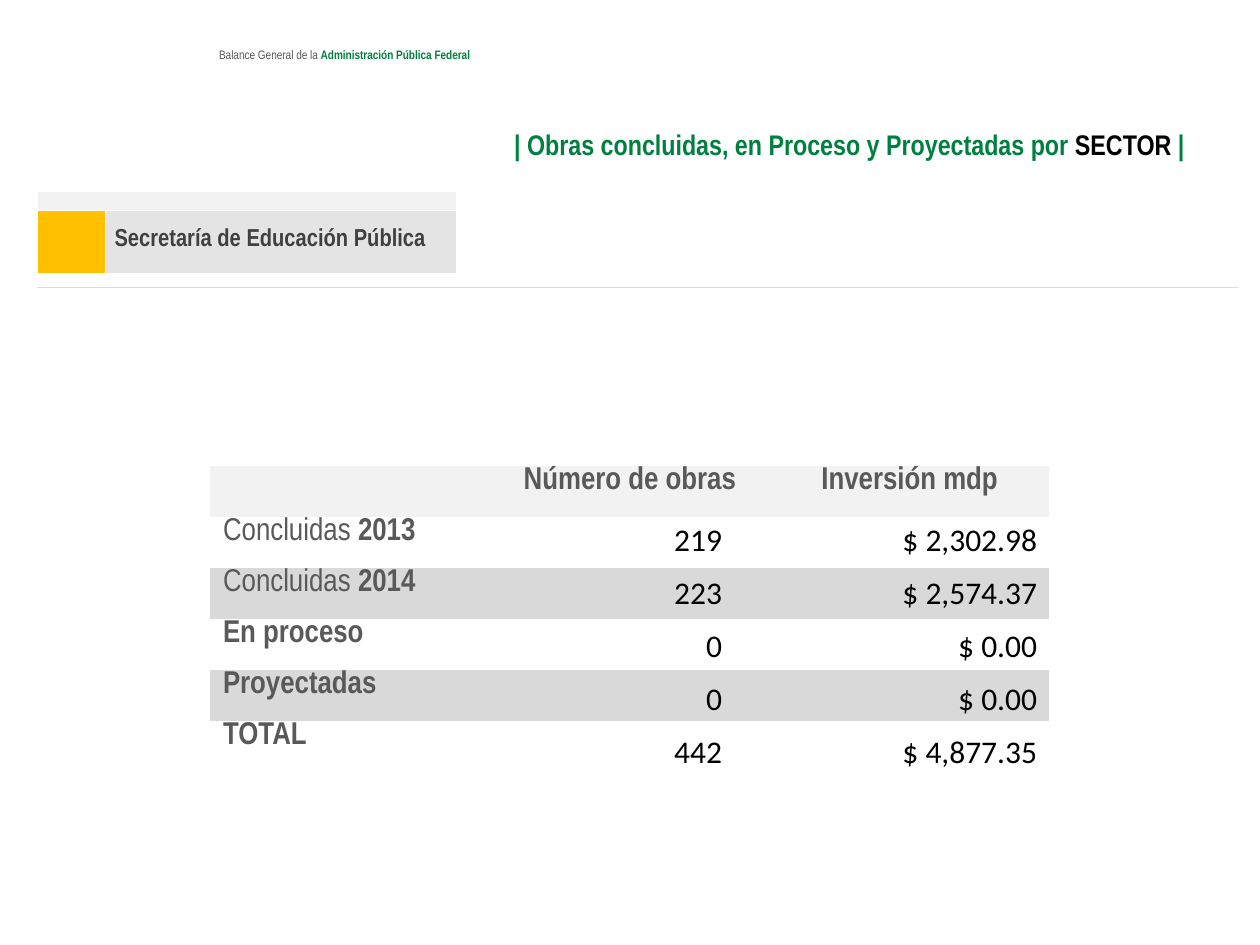
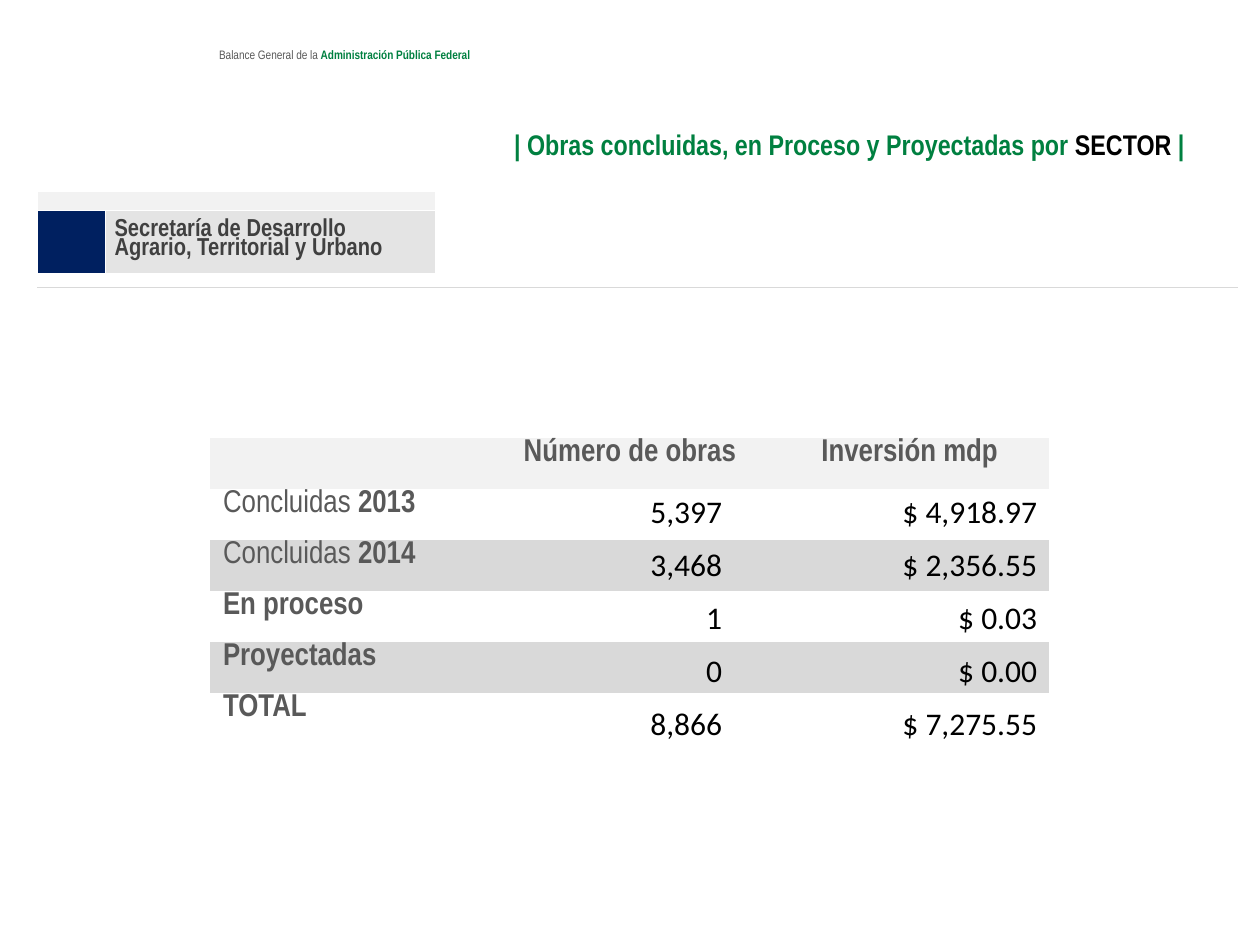
from lxml import etree
from pptx import Presentation
from pptx.dml.color import RGBColor
from pptx.enum import text
from pptx.oxml import ns
from pptx.util import Inches, Pt

NARROW, BODY = "Arial Narrow", "Calibri"
GREEN, BLACK, WHITE = "008040", "000000", "FFFFFF"
GRAY, DARK_GRAY, RULE_GRAY = "595959", "404040", "D9D9D9"
PALE, BAND, NAME_FILL = "F2F2F2", "D9D9D9", "E4E4E4"
NO_STYLE = "{2D5ABB26-0587-4C30-8999-92F81FD0307C}"

HEADINGS = ["", "Número de obras", "Inversión mdp"]
ROW_LABELS = [
    [("Concluidas ", False), ("2013", True)],
    [("Concluidas ", False), ("2014", True)],
    [("En proceso", True)],
    [("Proyectadas", True)],
    [("TOTAL", True)],
]
SECTORS = [
    {
        "name": "Secretaría de Educación Pública",
        "color": "FFC000", "name_width": 2.78, "last_row": 5, "table_top": 3.7,
        "works": ["219", "223", "0", "0", "442"],
        "investment": ["$ 2,302.98", "$ 2,574.37", "$ 0.00", "$ 0.00", "$ 4,877.35"],
    },
    {
        "name": "Secretaría de Desarrollo Agrario, Territorial y Urbano",
        "color": "002060", "name_width": 2.62, "last_row": 3.47, "table_top": 3.48,
        "works": ["5,397", "3,468", "1", "0", "8,866"],
        "investment": ["$ 4,918.97", "$ 2,356.55", "$ 0.03", "$ 0.00", "$ 7,275.55"],
    },
]


def write(paragraph, runs, size, font_name):
    """Fill a paragraph with (text, colour, bold) runs."""
    paragraph.font.size, paragraph.font.name = Pt(size), font_name
    for words, color, bold in runs:
        run = paragraph.add_run()
        run.text = words
        run.font.size, run.font.name, run.font.bold = Pt(size), font_name, bold
        run.font.color.rgb = RGBColor.from_string(color)


def add_plain_table(slide, left, top, widths, heights):
    """Add a table without style, fills or banding."""
    frame = slide.shapes.add_table(
        len(heights), len(widths), Inches(left), Inches(top),
        Inches(sum(widths)), Inches(sum(heights)))
    table = frame.table
    table.first_row = table.horz_banding = False
    frame.element.find(".//" + ns.qn("a:tableStyleId")).text = NO_STYLE
    for column, width in zip(table.columns, widths):
        column.width = Inches(width)
    for row, height in zip(table.rows, heights):
        row.height = Inches(height)
    return table


presentation = Presentation()
presentation.slide_width, presentation.slide_height = Inches(10), Inches(7.5)
layout = presentation.slide_layouts[5]

for number, sector in enumerate(SECTORS):
    slide = presentation.slides.add_slide(layout)

    # Running header, kept on the layout
    if number == 0:
        header = slide.shapes.add_textbox(Inches(1.64), Inches(0.35), Inches(4.49), Inches(0.2))
        header.text_frame.word_wrap = True
        paragraph = header.text_frame.paragraphs[0]
        paragraph.line_spacing = 0.8
        write(paragraph, [("Balance General de la ", GRAY, False),
                          ("Administración Pública Federal", GREEN, True)], 7, NARROW)
        header.element.nvSpPr.cNvPr.set("id", "20")
        layout.shapes.element.append(header.element)

    # Sector banner: colour block, name and rule below
    banner = add_plain_table(slide, 0.3, 1.52, [0.54, sector["name_width"], 8.98 - sector["name_width"]],
                             [0.15, 0.5, 0.11, sector["last_row"]])
    for row_index in (0, 2):
        banner.cell(row_index, 0).merge(banner.cell(row_index, 1))
    banner.cell(3, 0).merge(banner.cell(3, 2))
    for (row_index, column_index), fill in {
            (0, 0): PALE, (1, 0): sector["color"], (1, 1): NAME_FILL}.items():
        cell = banner.cell(row_index, column_index)
        cell.fill.solid()
        cell.fill.fore_color.rgb = RGBColor.from_string(fill)
    for row_index in range(4):
        for column_index in range(3):
            cell = banner.cell(row_index, column_index)
            cell.margin_top = cell.margin_bottom = 0
            if (row_index, column_index) == (1, 1):
                cell.margin_left = cell.margin_right = Inches(0.07)
                cell.vertical_anchor = text.MSO_ANCHOR.MIDDLE
                paragraph = cell.text_frame.paragraphs[0]
                paragraph.line_spacing = Pt(11)
                write(paragraph, [(sector["name"], DARK_GRAY, True)], 14, NARROW)
            else:
                paragraph = cell.text_frame.paragraphs[0]
                paragraph.font.size = Pt(4)
                etree.SubElement(paragraph._p, ns.qn("a:endParaRPr"), sz="400")
            properties = cell._tc.get_or_add_tcPr()
            for position, side in enumerate(["lnL", "lnR", "lnT", "lnB"]):
                on_rule = (row_index, side) in [(2, "lnB"), (3, "lnT")]
                width = 0.25 if on_rule else 0.5 if side in ("lnL", "lnR") else 1
                line = etree.Element(ns.qn("a:" + side), w=str(Pt(width)))
                solid = etree.SubElement(line, ns.qn("a:solidFill"))
                etree.SubElement(solid, ns.qn("a:srgbClr"), val=RULE_GRAY if on_rule else WHITE)
                properties.insert(position, line)

    # Table of works
    works_table = add_plain_table(slide, 1.67, sector["table_top"], [2.22] * 3, [0.405] * 6)
    for row_index, row in enumerate(works_table.rows):
        for column_index, cell in enumerate(row.cells):
            cell.margin_top = 0
            if row_index % 2 == 0:
                cell.fill.solid()
                cell.fill.fore_color.rgb = RGBColor.from_string(BAND if row_index else PALE)
            paragraph = cell.text_frame.paragraphs[0]
            if row_index == 0 and column_index:
                paragraph.alignment = text.PP_ALIGN.CENTER
                write(paragraph, [(HEADINGS[column_index], GRAY, True)], 18, NARROW)
            elif row_index and column_index == 0:
                write(paragraph, [(words, GRAY, bold) for words, bold in ROW_LABELS[row_index - 1]],
                      18, NARROW)

    # Title
    title = slide.shapes.title
    title.left, title.top, title.width, title.height = map(Inches, (0.5, 0.91, 9, 0.43))
    title.text_frame.auto_size = text.MSO_AUTO_SIZE.NONE
    title.text_frame.vertical_anchor = text.MSO_ANCHOR.MIDDLE
    paragraph = title.text_frame.paragraphs[0]
    paragraph.alignment = text.PP_ALIGN.RIGHT
    paragraph.line_spacing = 1.15
    write(paragraph, [("| Obras concluidas, en Proceso y Proyectadas por ", GREEN, True),
                      ("SECTOR ", BLACK, True), ("|", GREEN, True)], 16.2, NARROW)

    # Figures over the table, one column at a time
    for left, width, figures in [(4.16, 1.67, sector["works"]), (6.57, 1.76, sector["investment"])]:
        for index, figure in enumerate(figures):
            top = sector["table_top"] + 0.38 + 0.42 * index
            box = slide.shapes.add_textbox(Inches(left), Inches(top), Inches(width), Inches(0.4))
            box.text_frame.word_wrap = True
            paragraph = box.text_frame.paragraphs[0]
            paragraph.alignment = text.PP_ALIGN.RIGHT
            write(paragraph, [(figure, BLACK, False)], 18, BODY)

presentation.save("out.pptx")
